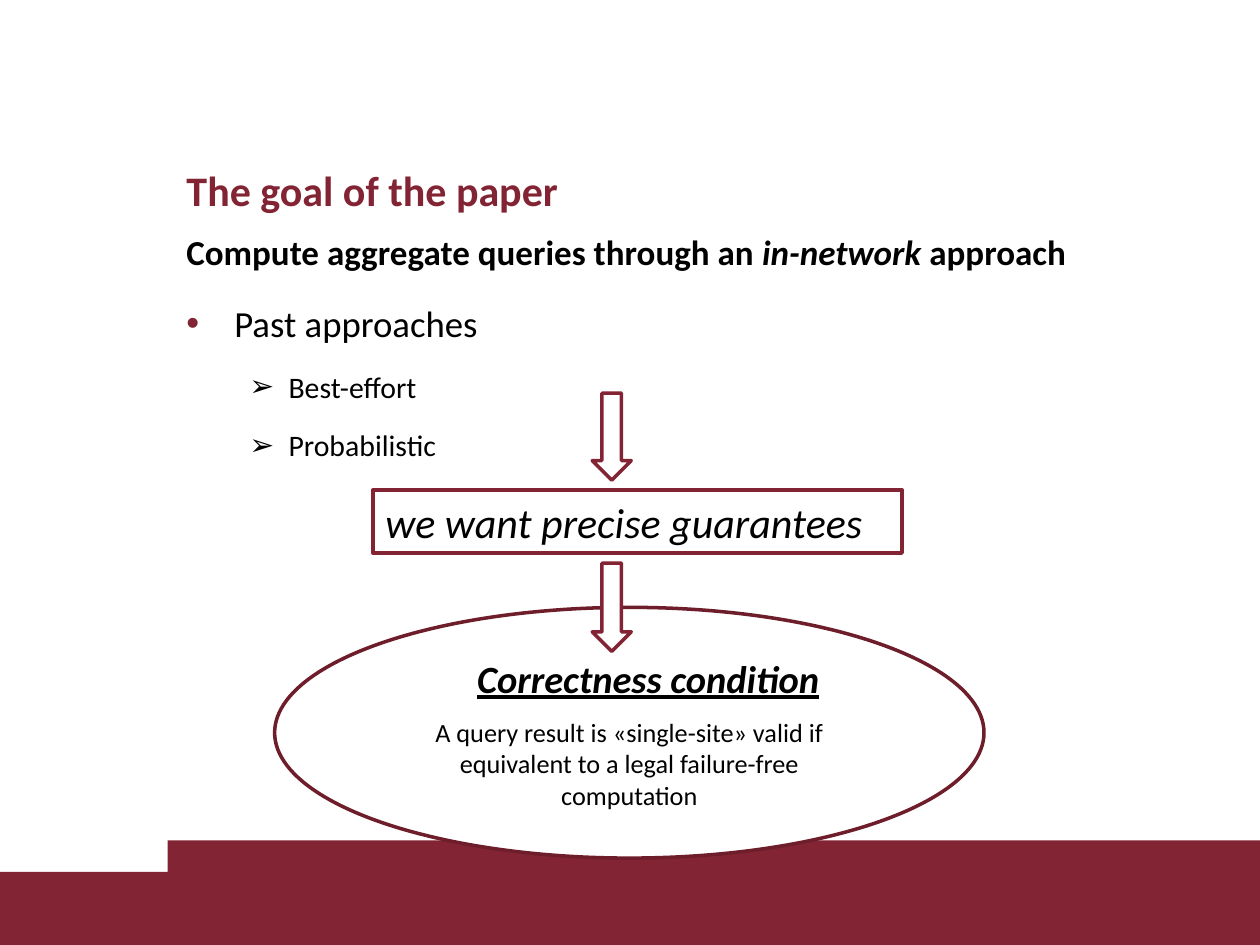
"""Build the slide on the goal of the paper."""
from dataclasses import dataclass
from typing import Optional

from lxml import etree
from pptx import Presentation
from pptx.dml.color import RGBColor
from pptx.enum.shapes import MSO_SHAPE
from pptx.enum.text import MSO_ANCHOR, MSO_AUTO_SIZE, PP_ALIGN
from pptx.oxml.ns import qn
from pptx.util import Inches, Pt

RECTANGLE = MSO_SHAPE.RECTANGLE
OVAL = MSO_SHAPE.OVAL
DOWN_ARROW = MSO_SHAPE.DOWN_ARROW
TOP, MIDDLE = MSO_ANCHOR.TOP, MSO_ANCHOR.MIDDLE
NO_FIT = MSO_AUTO_SIZE.NONE
LEFT, CENTER = PP_ALIGN.LEFT, PP_ALIGN.CENTER


@dataclass(frozen=True)
class Theme:
    """Colours, font and type sizes."""
    maroon: str = "822433"
    dark_maroon: str = "6E1D2A"
    white: str = "FFFFFF"
    black: str = "000000"
    font: str = "Calibri"
    title: float = 24
    subtitle: float = 20
    topic: float = 21
    detail: float = 17
    callout: float = 24
    condition: float = 22
    definition: float = 15
    outline: float = 2


@dataclass(frozen=True)
class Box:
    """Position and size in inches."""
    left: float
    top: float
    width: float
    height: float

    def lengths(self) -> tuple:
        """Return the four lengths."""
        return tuple(map(Inches, (self.left, self.top, self.width, self.height)))


@dataclass(frozen=True)
class Run:
    """A stretch of text in one style."""
    text: str
    bold: bool = False
    italic: bool = False
    underline: bool = False


@dataclass(frozen=True)
class Bullet:
    """A list marker with its indents in inches."""
    mark: str
    margin: float
    hanging: float
    color: str


@dataclass(frozen=True)
class Item:
    """One entry of the list."""
    text: str
    level: int
    size: float
    bullet: Bullet
    before: float
    spacing: float


THEME = Theme()
TOPIC_BULLET = Bullet("•", 0.38, 0.38, THEME.maroon)
DETAIL_BULLET = Bullet("➢", 0.81, 0.31, THEME.black)
ITEMS = (
    Item("Past approaches", 0, THEME.topic, TOPIC_BULLET, 0, 1.0),
    Item("Best-effort", 1, THEME.detail, DETAIL_BULLET, 3, 1.5),
    Item("Probabilistic", 1, THEME.detail, DETAIL_BULLET, 3, 1.5),
)
BANDS = (Box(0, 6.92, 10, 0.58), Box(1.33, 6.67, 8.67, 0.83))
TITLE = Box(1.38, 1.23, 8.11, 0.55)
SUBTITLE = Box(1.38, 1.78, 8.11, 0.55)
APPROACHES = Box(1.38, 2.34, 8.11, 1.38)
CALLOUT = Box(2.96, 3.89, 4.2, 0.5)
CONDITION = Box(2.18, 4.82, 5.63, 1.99)
ARROWS = (Box(4.7, 3.12, 0.31, 0.69), Box(4.7, 4.47, 0.31, 0.7))


def set_bullet(paragraph, bullet: Bullet) -> None:
    """Give a paragraph its marker and hanging indent."""
    properties = paragraph._p.get_or_add_pPr()
    properties.set("marL", str(Inches(bullet.margin)))
    properties.set("indent", str(-Inches(bullet.hanging)))
    color = etree.SubElement(properties, qn("a:buClr"))
    etree.SubElement(color, qn("a:srgbClr"), val=bullet.color)
    etree.SubElement(properties, qn("a:buFont"), typeface="Arial")
    etree.SubElement(properties, qn("a:buChar"), char=bullet.mark)


def write(paragraph, *runs: Run, size: float, color: str = THEME.black,
          align: PP_ALIGN = LEFT, before: float = 0, spacing: float = 1.0,
          level: int = 0, margin: float = 0, bullet: Optional[Bullet] = None) -> None:
    """Fill a paragraph with formatted runs."""
    paragraph.level = level
    if bullet:
        set_bullet(paragraph, bullet)
    elif margin:
        paragraph._p.get_or_add_pPr().set("marL", str(Inches(margin)))
    paragraph.alignment = align
    paragraph.space_before = Pt(before)
    paragraph.line_spacing = spacing
    for part in runs:
        run = paragraph.add_run()
        run.text = part.text
        font = run.font
        font.name, font.size = THEME.font, Pt(size)
        font.bold, font.italic, font.underline = part.bold, part.italic, part.underline
        font.color.rgb = RGBColor.from_string(color)


def prepare_frame(shape, anchor: MSO_ANCHOR, inset: float = 0.1):
    """Set wrapping, anchor and side insets of a text frame."""
    frame = shape.text_frame
    frame.word_wrap = True
    frame.auto_size = NO_FIT
    frame.vertical_anchor = anchor
    frame.margin_left = frame.margin_right = Inches(inset)
    return frame


def place(shape, box: Box) -> None:
    """Move and resize a placeholder."""
    shape.left, shape.top, shape.width, shape.height = box.lengths()


def draw_shape(slide, kind: MSO_SHAPE, box: Box, fill: str = THEME.white,
               line: Optional[str] = THEME.maroon):
    """Draw a filled preset shape."""
    shape = slide.shapes.add_shape(kind, *box.lengths())
    shape.shadow.inherit = False
    shape.fill.solid()
    shape.fill.fore_color.rgb = RGBColor.from_string(fill)
    if line:
        shape.line.color.rgb = RGBColor.from_string(line)
        shape.line.width = Pt(THEME.outline)
    else:
        shape.line.fill.background()
    return shape


def main() -> None:
    """Build and save the presentation."""
    presentation = Presentation()
    presentation.slide_width, presentation.slide_height = Inches(10), Inches(7.5)
    slide = presentation.slides.add_slide(presentation.slide_layouts[1])
    for band in BANDS:
        draw_shape(slide, RECTANGLE, band, THEME.maroon, None)

    title, approaches = slide.placeholders
    place(title, TITLE)
    write(prepare_frame(title, MIDDLE).paragraphs[0],
          Run("The goal of the paper", bold=True), size=THEME.title, color=THEME.maroon)

    place(approaches, APPROACHES)
    frame = prepare_frame(approaches, TOP)
    for index, item in enumerate(ITEMS):
        paragraph = frame.add_paragraph() if index else frame.paragraphs[0]
        write(paragraph, Run(item.text), size=item.size, level=item.level,
              bullet=item.bullet, before=item.before, spacing=item.spacing)

    subtitle = slide.shapes.add_textbox(*SUBTITLE.lengths())
    write(prepare_frame(subtitle, TOP).paragraphs[0],
          Run("Compute aggregate queries through an ", bold=True),
          Run("in-network ", bold=True, italic=True),
          Run("approach", bold=True), size=THEME.subtitle)

    callout = draw_shape(slide, RECTANGLE, CALLOUT)
    write(prepare_frame(callout, MIDDLE).paragraphs[0],
          Run("we want precise guarantees", italic=True), size=THEME.callout)

    condition = draw_shape(slide, OVAL, CONDITION, line=THEME.dark_maroon)
    frame = prepare_frame(condition, MIDDLE, inset=0.2)
    write(frame.paragraphs[0],
          Run("Correctness condition", bold=True, italic=True, underline=True),
          size=THEME.condition, align=CENTER, margin=0.3)
    write(frame.add_paragraph(),
          Run("A query result is «single-site» valid if equivalent to a legal "
              "failure-free computation"),
          size=THEME.definition, align=CENTER, before=8.5)

    for arrow in ARROWS:
        draw_shape(slide, DOWN_ARROW, arrow)
    presentation.save("out.pptx")


if __name__ == "__main__":
    main()
